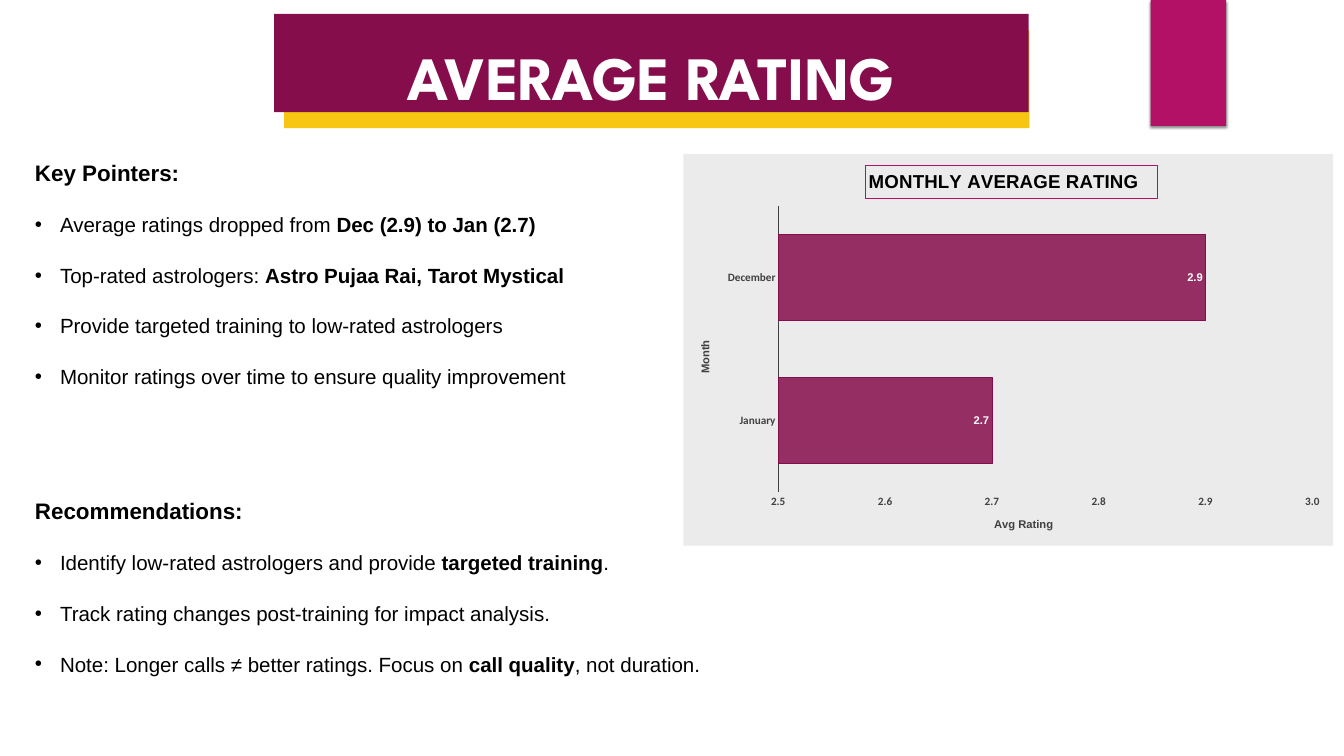
from lxml import etree
from pptx import Presentation
from pptx.chart.data import CategoryChartData
from pptx.dml.color import RGBColor
from pptx.enum.chart import XL_CHART_TYPE, XL_LABEL_POSITION, XL_TICK_MARK
from pptx.enum.shapes import MSO_SHAPE
from pptx.enum.text import PP_ALIGN
from pptx.oxml import parse_xml
from pptx.oxml.ns import nsdecls, qn
from pptx.util import Cm, Pt

BAR = XL_CHART_TYPE.BAR_CLUSTERED
INSIDE_END = XL_LABEL_POSITION.INSIDE_END
NO_TICK = XL_TICK_MARK.NONE
RECTANGLE = MSO_SHAPE.RECTANGLE
CENTER = PP_ALIGN.CENTER

TITLE = "AVERAGE RATING"
SECTIONS = [
    ("Key Pointers:", [
        [("Average ratings dropped from ", False), ("Dec (2.9) to Jan (2.7)", True)],
        [("Top-rated astrologers: ", False), ("Astro Pujaa Rai, Tarot Mystical", True)],
        [("Provide targeted training to low-rated astrologers", False)],
        [("Monitor ratings over time to ensure quality improvement", False)],
    ]),
    ("Recommendations:", [
        [("Identify low-rated astrologers and provide ", False),
         ("targeted training", True), (".", False)],
        [("Track rating changes post-training for impact analysis.", False)],
        [("Note: Longer calls ≠ better ratings. Focus on ", False),
         ("call quality", True), (", not duration.", False)],
    ]),
]
RATINGS = {
    "title": "MONTHLY AVERAGE RATING\t",
    "months": ["January", "December"],
    "values": [2.7, 2.9],
    "month_axis": "Month",
    "rating_axis": "Avg Rating",
}
THEME = {
    "plum": "860D4C", "gold": "F7C613", "magenta": "B31166", "panel": "EBEBEB",
    "ink": "000000", "axis": "404040", "white": "FFFFFF",
    "title_font": "League Spartan", "body_font": "Arial", "tick_font": "Calibri",
    "title": 66, "heading": 24, "body": 22, "chart_title": 20, "label": 12,
}


def color(name):
    """Return a theme colour."""
    return RGBColor.from_string(THEME[name])


def set_font(font, size="label", ink="ink", face="body_font", bold=True):
    """Apply theme type settings to a font."""
    font.size, font.name, font.bold = Pt(THEME[size]), THEME[face], bold
    font.color.rgb = color(ink)


def write(paragraph, text, **style):
    """Add a formatted run to a paragraph."""
    run = paragraph.add_run()
    run.text = text
    set_font(run.font, **style)


def add_block(slide, ink, left, top, width, height):
    """Add a plain filled rectangle."""
    block = slide.shapes.add_shape(RECTANGLE, Cm(left), Cm(top), Cm(width), Cm(height))
    block.shadow.inherit = False
    block.fill.solid()
    block.fill.fore_color.rgb = color(ink)
    block.line.fill.background()
    return block


def add_tag(slide):
    """Add the hanging tag with its soft shadow."""
    tag = add_block(slide, "magenta", 43.49, 0, 2.86, 4.76)
    effects = tag._element.spPr.find(qn("a:effectLst"))
    effects.append(parse_xml(
        f'<a:outerShdw {nsdecls("a")} blurRad="38100" dist="25400" dir="5400000">'
        '<a:srgbClr val="000000"><a:alpha val="45000"/></a:srgbClr></a:outerShdw>'))


def add_banner(slide):
    """Add the title on its two-colour banner."""
    add_block(slide, "gold", 10.74, 1.14, 28.17, 3.71)
    add_block(slide, "plum", 10.36, 0.53, 28.52, 3.71)
    frame = slide.shapes.add_textbox(Cm(10.36), Cm(0.53), Cm(28.52), Cm(3.58)).text_frame
    frame.margin_left = frame.margin_right = frame.margin_top = frame.margin_bottom = 0
    frame.word_wrap = True
    heading = frame.paragraphs[0]
    heading.alignment, heading.line_spacing = CENTER, Pt(105.5)
    write(heading, TITLE, size="title", ink="white", face="title_font")


def add_bullet(frame, runs):
    """Add one bulleted paragraph made of plain and bold runs."""
    point = frame.add_paragraph()
    point.space_before = Pt(28)
    properties = point._p.get_or_add_pPr()
    properties.set("marL", str(Cm(0.95)))
    properties.set("indent", str(-Cm(0.95)))
    etree.SubElement(properties, qn("a:buFont")).set("typeface", THEME["body_font"])
    etree.SubElement(properties, qn("a:buChar")).set("char", "•")
    for text, bold in runs:
        write(point, text, size="body", bold=bold)


def add_sections(slide):
    """Add the headings and their bullet lists."""
    frame = slide.shapes.add_textbox(Cm(1.07), Cm(5.88), Cm(29), Cm(19.6)).text_frame
    frame.word_wrap = True
    for index, (heading, points) in enumerate(SECTIONS):
        paragraph = frame.add_paragraph() if index else frame.paragraphs[0]
        if index:
            paragraph.space_before = Pt(116)
        write(paragraph, heading, size="heading")
        for runs in points:
            add_bullet(frame, runs)


def place(part, index, target="", **fractions):
    """Give a chart part a manual layout in fractions of the chart."""
    for layout in part.findall(qn("c:layout")):
        part.remove(layout)
    modes = "".join(f'<c:{axis}Mode val="edge"/>' for axis in "xy")
    sizes = "".join(f'<c:{key} val="{value}"/>' for key, value in fractions.items())
    part.insert(index, parse_xml(
        f'<c:layout {nsdecls("c")}><c:manualLayout>{target}{modes}{sizes}'
        '</c:manualLayout></c:layout>'))


def style_axis(axis, title):
    """Format an axis and its title."""
    axis.has_major_gridlines = False
    axis.major_tick_mark = axis.minor_tick_mark = NO_TICK
    set_font(axis.tick_labels.font, ink="axis", face="tick_font")
    write(axis.axis_title.text_frame.paragraphs[0], title, ink="axis")


def add_ratings(slide):
    """Add the monthly rating bar chart."""
    data = CategoryChartData(number_format="0.0")
    data.categories = RATINGS["months"]
    data.add_series(RATINGS["rating_axis"], RATINGS["values"])
    chart = slide.shapes.add_chart(
        BAR, Cm(25.83), Cm(5.82), Cm(24.56), Cm(14.81), data).chart
    chart.has_legend = False
    set_font(chart.font, bold=False)
    chart._chartSpace.find(qn("c:chart")).addnext(parse_xml(
        f'<c:spPr {nsdecls("c", "a")}><a:solidFill><a:srgbClr val="{THEME["panel"]}"/>'
        '</a:solidFill><a:ln><a:noFill/></a:ln></c:spPr>'))

    title = chart.chart_title
    write(title.text_frame.paragraphs[0], RATINGS["title"], size="chart_title")
    title.include_in_layout = False
    title.format.line.color.rgb = color("magenta")
    title.format.line.width = Pt(0.75)
    place(title._element, 1, x=0.28, y=0.03)
    place(chart._chartSpace.chart.plotArea, 0, '<c:layoutTarget val="inner"/>',
          x=0.146, y=0.133, w=0.822, h=0.73)

    months, scores = chart.category_axis, chart.value_axis
    style_axis(months, RATINGS["month_axis"])
    style_axis(scores, RATINGS["rating_axis"])
    months.format.line.color.rgb = color("axis")
    months.format.line.width = Pt(1.5)
    scores.format.line.fill.background()
    scores.minimum_scale, scores.maximum_scale, scores.major_unit = 2.5, 3, 0.1
    scores.tick_labels.number_format = "0.0"
    scores.tick_labels.number_format_is_linked = False

    plot = chart.plots[0]
    plot.gap_width, plot.vary_by_categories = 65, False
    bars = plot.series[0]
    bars.format.fill.solid()
    bars.format.fill.fore_color.rgb = color("plum")
    tint = bars._element.spPr.find(qn("a:solidFill"))[0]
    etree.SubElement(tint, qn("a:alpha")).set("val", "85000")
    bars.format.line.color.rgb = color("plum")
    bars.format.line.width = Pt(0.75)
    labels = bars.data_labels
    labels.show_value, labels.position = True, INSIDE_END
    labels.number_format, labels.number_format_is_linked = "0.0", False
    set_font(labels.font, ink="white")


def main():
    """Build and save the slide."""
    deck = Presentation()
    deck.slide_width, deck.slide_height = Cm(50.8), Cm(28.58)
    slide = deck.slides.add_slide(deck.slide_layouts[6])
    add_tag(slide)
    add_banner(slide)
    add_sections(slide)
    add_ratings(slide)
    deck.save("out.pptx")


if __name__ == "__main__":
    main()
